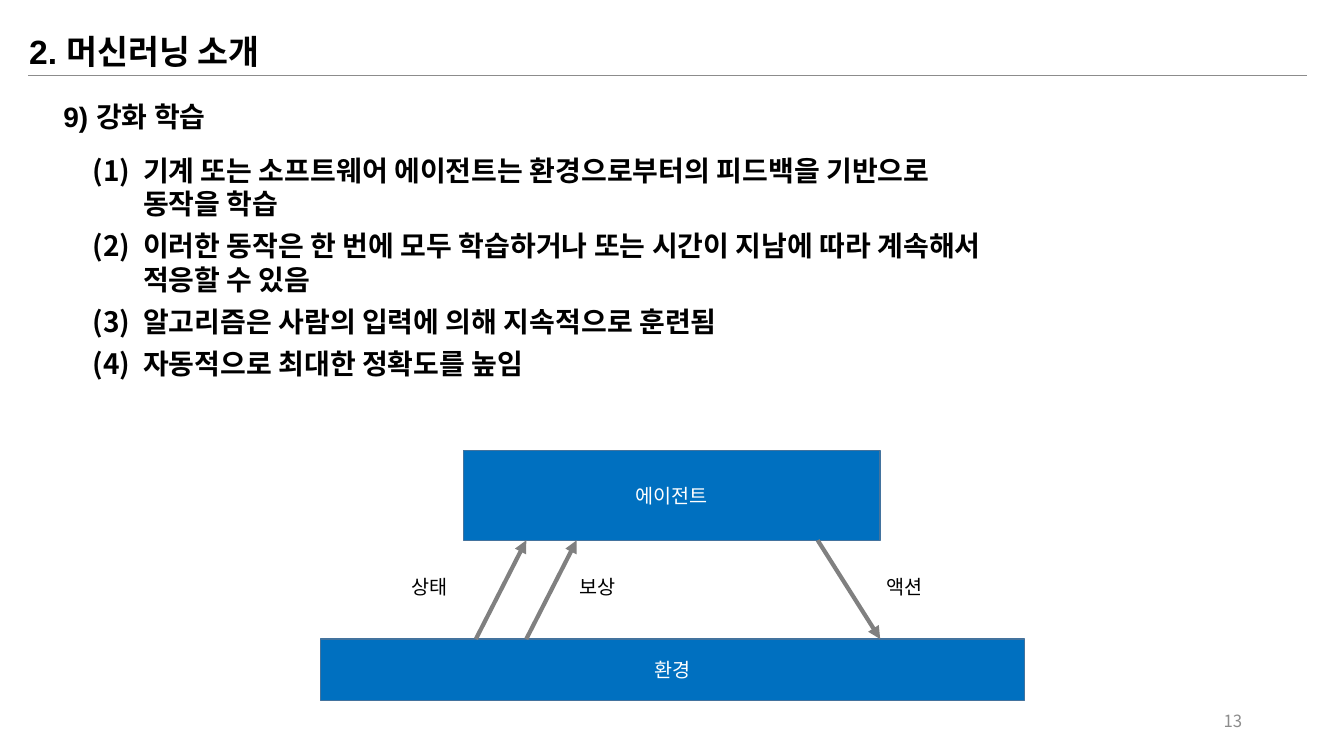
from lxml import etree
from pptx import Presentation
from pptx.dml.color import RGBColor
from pptx.enum.shapes import MSO_CONNECTOR, MSO_SHAPE
from pptx.enum.text import MSO_ANCHOR, PP_ALIGN
from pptx.oxml.ns import qn
from pptx.util import Inches, Pt

STRAIGHT = MSO_CONNECTOR.STRAIGHT
RECT = MSO_SHAPE.RECTANGLE
TOP, MIDDLE = MSO_ANCHOR.TOP, MSO_ANCHOR.MIDDLE
LEFT, CENTER, RIGHT = PP_ALIGN.LEFT, PP_ALIGN.CENTER, PP_ALIGN.RIGHT
LATIN, KOREAN = "Arial", "Noto Sans CJK KR"

POINTS = [
    "기계 또는 소프트웨어 에이전트는 환경으로부터의 피드백을 기반으로 동작을 학습",
    "이러한 동작은 한 번에 모두 학습하거나 또는 시간이 지남에 따라 계속해서 적응할 수 있음",
    "알고리즘은 사람의 입력에 의해 지속적으로 훈련됨",
    "자동적으로 최대한 정확도를 높임",
]


def rgb(value):
    return RGBColor.from_string(value)


def write(p, text, size=14, font=KOREAN, color="000000", bold=False,
          align=LEFT, spacing=None):
    p.alignment = align
    if spacing:
        p.line_spacing = Pt(spacing)
    r = p.add_run()
    r.text = text
    r.font.size, r.font.name, r.font.bold = Pt(size), font, bold
    r.font.color.rgb = rgb(color)
    etree.SubElement(r._r.get_or_add_rPr(), qn("a:ea"), typeface=KOREAN)


def add_frame(slide, x, y, w, h, anchor=TOP):
    sp = slide.shapes.add_textbox(Inches(x), Inches(y), Inches(w), Inches(h))
    tf = sp.text_frame
    tf.word_wrap = True
    tf.vertical_anchor = anchor
    return tf


def add_text(slide, x, y, w, h, text, anchor=TOP, **fmt):
    write(add_frame(slide, x, y, w, h, anchor).paragraphs[0], text, **fmt)


def add_numbered(slide, x, y, w, h, items, **fmt):
    tf = add_frame(slide, x, y, w, h)
    for i, item in enumerate(items):
        p = tf.add_paragraph() if i else tf.paragraphs[0]
        write(p, item, **fmt)
        p.space_after = Pt(6)
        pPr = p._p.get_or_add_pPr()
        pPr.set("marL", str(Inches(0.5)))
        pPr.set("indent", str(Inches(-0.5)))
        etree.SubElement(pPr, qn("a:buFont"), typeface=KOREAN)
        etree.SubElement(pPr, qn("a:buAutoNum"), type="arabicParenBoth")


def add_box(slide, x, y, w, h, text):
    sp = slide.shapes.add_shape(RECT, Inches(x), Inches(y), Inches(w), Inches(h))
    sp.shadow.inherit = False
    sp.fill.solid()
    sp.fill.fore_color.rgb = rgb("0070C0")
    sp.line.color.rgb = rgb("43739E")
    sp.line.width = Pt(1)
    sp.text_frame.vertical_anchor = MIDDLE
    write(sp.text_frame.paragraphs[0], text, color="FFFFFF", align=CENTER)


def add_line(slide, x1, y1, x2, y2, color="808080", width=3, arrow=True):
    cxn = slide.shapes.add_connector(
        STRAIGHT, Inches(x1), Inches(y1), Inches(x2), Inches(y2))
    cxn.line.color.rgb = rgb(color)
    cxn.line.width = Pt(width)
    if arrow:
        etree.SubElement(cxn.line._get_or_add_ln(), qn("a:tailEnd"), type="triangle")
    etree.SubElement(cxn._element.spPr, qn("a:effectLst"))


def main():
    prs = Presentation()
    prs.slide_width, prs.slide_height = Inches(13.33), Inches(7.5)
    slide = prs.slides.add_slide(prs.slide_layouts[6])

    # Headings and page number
    add_line(slide, 0.28, 0.75, 12.96, 0.75, color="8C8C8C", width=0.5, arrow=False)
    strong = {"font": LATIN, "bold": True}
    add_text(slide, 0.19, 0.24, 9.15, 0.5, "2. 머신러닝 소개", size=24, spacing=30, **strong)
    add_text(slide, 0.53, 0.92, 9.15, 0.44, "9) 강화 학습", size=20, spacing=25, **strong)
    add_text(slide, 9.42, 6.95, 3, 0.4, "13", anchor=MIDDLE, size=12,
             color="8C8C8C", align=RIGHT)

    # Numbered points
    add_numbered(slide, 0.82, 1.47, 9.15, 2.37, POINTS, size=20, spacing=24, **strong)

    # Agent and environment loop
    agent_bottom, env_top = 5.36, 6.34
    add_box(slide, 4.6, 4.47, 4.13, agent_bottom - 4.47, "에이전트")
    add_box(slide, 3.18, env_top, 6.98, 0.61, "환경")
    for x in (4.72, 5.22):
        add_line(slide, x, env_top, x + 0.5, agent_bottom)
    add_line(slide, 8.11, agent_bottom, 8.73, env_top)
    for x, label in ((3.98, "상태"), (5.65, "보상"), (8.69, "액션")):
        add_text(slide, x, 5.65, 0.99, 0.34, label)

    prs.save("out.pptx")


main()
